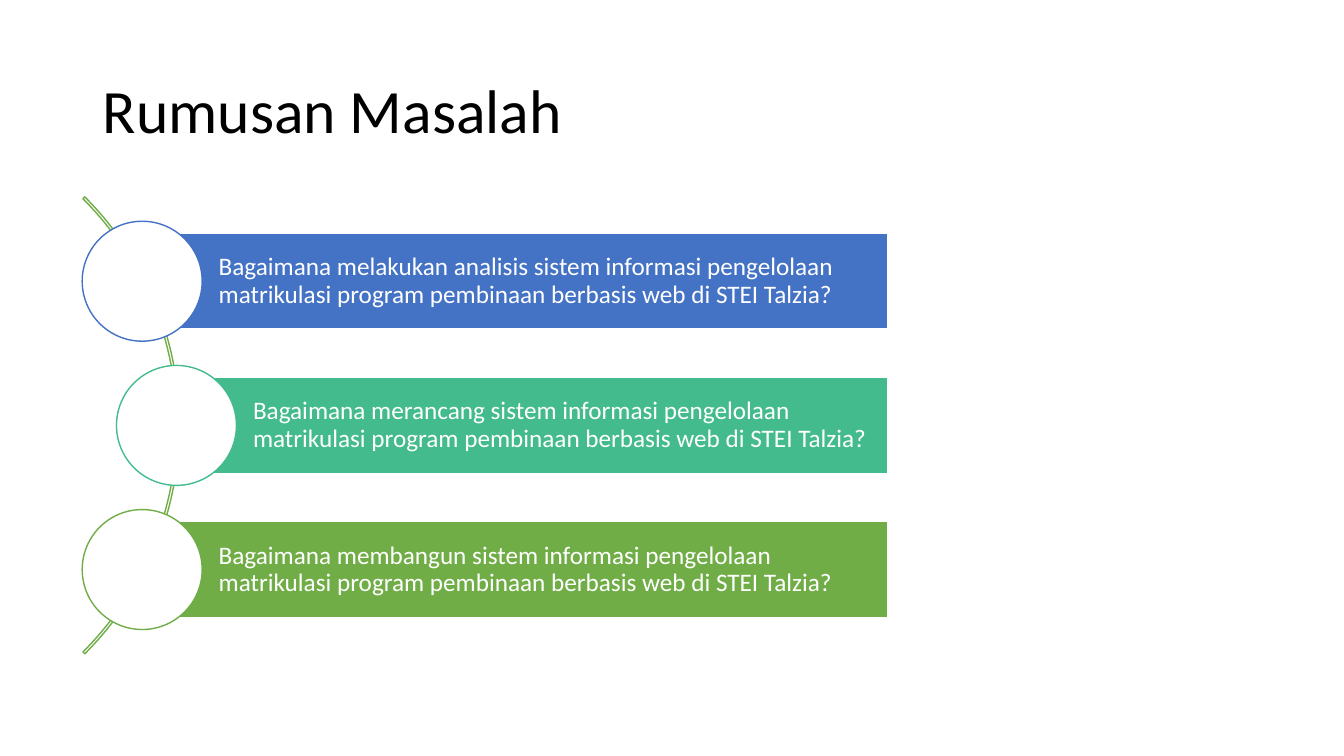
from pptx import Presentation
from pptx import util as u
from pptx.dml.color import RGBColor
from pptx.enum import shapes, text

GREEN, WHITE = "70AD47", "FFFFFF"
QUESTION = ("Bagaimana {} sistem informasi pengelolaan matrikulasi "
            "program pembinaan berbasis web di STEI Talzia?")
ROWS = [("melakukan analisis", "4472C4", 1.41),
        ("merancang", "43BB8D", 1.75),
        ("membangun", GREEN, 1.41)]
MIDDLE, STEP = 4.22, 1.43
BAR_RIGHT, BAR_HEIGHT = 8.81, 0.95
CIRCLE, ARC = 1.19, 6.41


def color(value):
    return RGBColor.from_string(value)


class Deck:
    font = "Calibri"
    frame = dict(word_wrap=True, auto_size=text.MSO_AUTO_SIZE.NONE,
                 vertical_anchor=text.MSO_ANCHOR.MIDDLE)
    paragraph = dict(alignment=text.PP_ALIGN.LEFT, line_spacing=0.9)

    def __init__(self):
        self.prs = Presentation()
        self.prs.slide_width = u.Inches(13.33)
        self.prs.slide_height = u.Inches(7.5)
        self.s = self.prs.slides.add_slide(self.prs.slide_layouts[5])

    def label(self, sp, words, size, fill, insets):
        tf = sp.text_frame
        margins = dict(zip(("margin_left", "margin_top", "margin_right", "margin_bottom"),
                           map(u.Inches, insets)))
        for name, value in {**self.frame, **margins}.items():
            setattr(tf, name, value)
        p = tf.paragraphs[0]
        for name, value in self.paragraph.items():
            setattr(p, name, value)
        r = p.add_run()
        r.text = words
        for name, value in dict(name=self.font, size=u.Pt(size)).items():
            setattr(r.font, name, value)
        r.font.color.rgb = color(fill)

    def title(self, words, left, top, width, height):
        sp = self.s.shapes.title
        box = dict(left=left, top=top, width=width, height=height)
        for name, value in box.items():
            setattr(sp, name, u.Inches(value))
        self.label(sp, words, 44, "000000", (0.1, 0.05, 0.1, 0.05))

    def shape(self, kind, box, line, fill=None):
        sp = self.s.shapes.add_shape(kind, *map(u.Inches, box))
        sp.shadow.inherit = False
        if fill:
            sp.fill.solid()
            sp.fill.fore_color.rgb = color(fill)
        else:
            sp.fill.background()
        sp.line.color.rgb = color(line)
        sp.line.width = u.Pt(1)
        return sp

    def arc(self, left, middle, size):
        sp = self.shape(shapes.MSO_SHAPE.BLOCK_ARC,
                        (left, middle - size / 2, size, size), GREEN)
        # start and end angles of -45 and 45 degrees, then the band thickness
        for i, value in enumerate((189, 27, 0.004)):
            sp.adjustments[i] = value

    def question(self, words, fill, left, middle):
        """Draw a bar of text with a circle centred on its left end."""
        bar = self.shape(shapes.MSO_SHAPE.RECTANGLE,
                         (left, middle - BAR_HEIGHT / 2, BAR_RIGHT - left, BAR_HEIGHT),
                         WHITE, fill)
        self.label(bar, words, 18, WHITE, (0.76, 0.05, 0.05, 0.05))
        self.shape(shapes.MSO_SHAPE.OVAL,
                   (left - CIRCLE / 2, middle - CIRCLE / 2, CIRCLE, CIRCLE), fill, WHITE)


def main():
    deck = Deck()
    deck.title("Rumusan Masalah", 0.92, 0.4, 11.5, 1.45)
    deck.arc(-4.63, MIDDLE, ARC)
    for i, (verb, fill, left) in enumerate(ROWS):
        deck.question(QUESTION.format(verb), fill, left, MIDDLE + (i - 1) * STEP)
    deck.prs.save("out.pptx")


if __name__ == "__main__":
    main()
